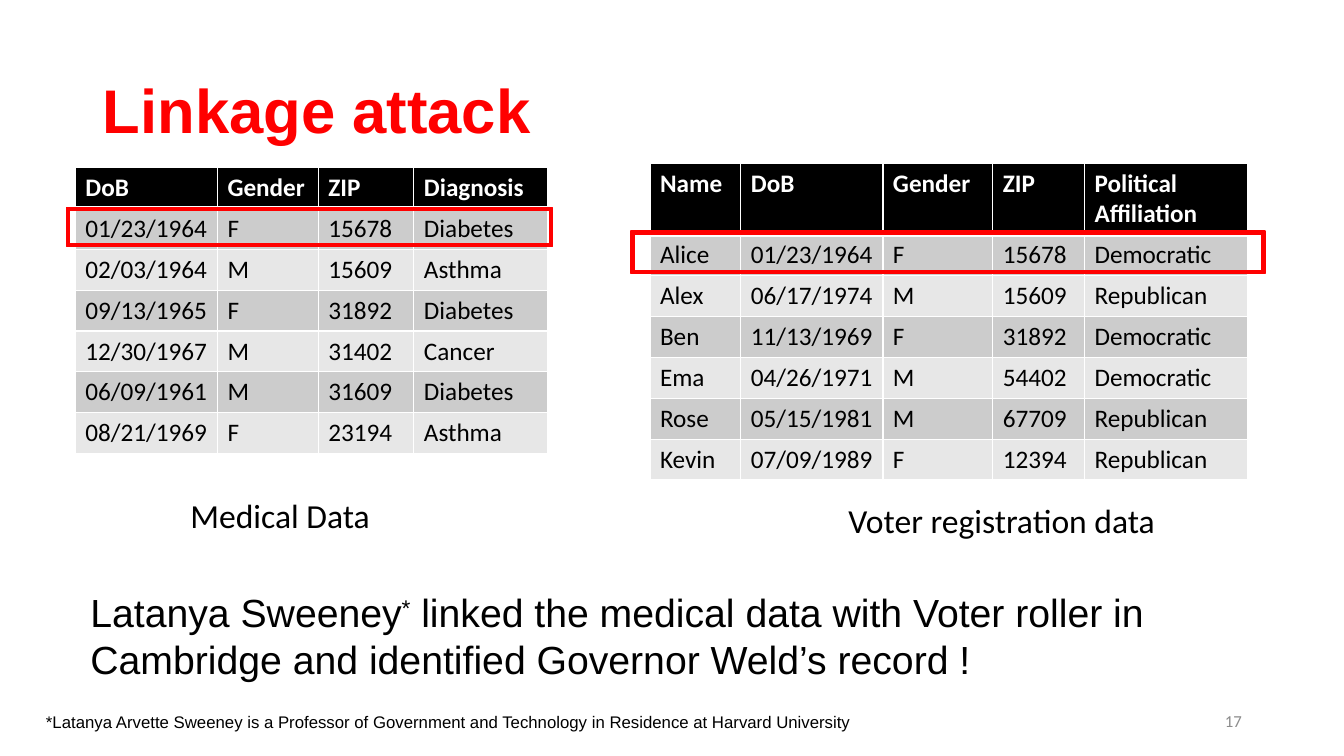
from pptx import Presentation
from pptx.dml.color import RGBColor
from pptx.enum.shapes import MSO_SHAPE
from pptx.enum.text import MSO_ANCHOR as Anchor, MSO_AUTO_SIZE as AutoSize, PP_ALIGN as Align
from pptx.oxml import parse_xml
from pptx.oxml.ns import nsdecls
from pptx.util import Cm, Pt

COLORS = {
    "red": "FF0000", "black": "000000", "white": "FFFFFF",
    "dark_band": "CCCCCC", "light_band": "E7E7E7", "gray": "8C8C8C",
}


def format_font(font, color, **values):
    for name, value in values.items():
        setattr(font, name, value)
    font.color.rgb = RGBColor.from_string(COLORS[color])


def add_text(position, text, name, size, color="black", wrap=True):
    frame = slide.shapes.add_textbox(*map(Cm, position)).text_frame
    frame.word_wrap = wrap
    frame.auto_size = AutoSize.SHAPE_TO_FIT_TEXT
    paragraph = frame.paragraphs[0]
    paragraph.text = text
    format_font(paragraph.font, color, name=name, size=Pt(size))
    return frame


presentation = Presentation()
presentation.slide_width, presentation.slide_height = Cm(33.87), Cm(19.05)
slide = presentation.slides.add_slide(presentation.slide_layouts[5])

# Title
title = slide.shapes.title
title.left, title.top, title.width, title.height = map(Cm, (2.34, 1.02, 29.21, 3.68))
title.text_frame.text = "Linkage attack"
title.text_frame.vertical_anchor = Anchor.MIDDLE
paragraph = title.text_frame.paragraphs[0]
paragraph.alignment, paragraph.line_spacing = Align.LEFT, 0.9
format_font(paragraph.font, "red", name="Arial", size=Pt(44), bold=True)

# Tables: left, top, header height, column widths, rows
medical_rows = [
    ("DoB", "Gender", "ZIP", "Diagnosis"),
    ("01/23/1964", "F", "15678", "Diabetes"),
    ("02/03/1964", "M", "15609", "Asthma"),
    ("09/13/1965", "F", "31892", "Diabetes"),
    ("12/30/1967", "M", "31402", "Cancer"),
    ("06/09/1961", "M", "31609", "Diabetes"),
    ("08/21/1969", "F", "23194", "Asthma"),
]
voter_rows = [
    ("Name", "DoB", "Gender", "ZIP", "Political\nAffiliation"),
    ("Alice", "01/23/1964", "F", "15678", "Democratic"),
    ("Alex", "06/17/1974", "M", "15609", "Republican"),
    ("Ben", "11/13/1969", "F", "31892", "Democratic"),
    ("Ema", "04/26/1971", "M", "54402", "Democratic"),
    ("Rose", "05/15/1981", "M", "67709", "Republican"),
    ("Kevin", "07/09/1989", "F", "12394", "Republican"),
]
tables = [
    (1.9, 4.22, 1.03, (3.58, 2.54, 2.41, 3.38), medical_rows),
    (16.38, 4.11, 1.74, (2.29, 3.58, 2.77, 2.31, 4.11), voter_rows),
]
ROW_HEIGHT = 1.03
for left, top, header_height, widths, rows in tables:
    height = header_height + ROW_HEIGHT * (len(rows) - 1)
    table = slide.shapes.add_table(
        len(rows), len(widths), Cm(left), Cm(top), Cm(sum(widths)), Cm(height)).table
    for column, width in zip(table.columns, widths):
        column.width = Cm(width)
    for row_index, values in enumerate(rows):
        is_header = row_index == 0
        table.rows[row_index].height = Cm(header_height if is_header else ROW_HEIGHT)
        fill = "black" if is_header else ("light_band", "dark_band")[row_index % 2]
        for column_index, value in enumerate(values):
            cell = table.cell(row_index, column_index)
            cell.text = value
            for paragraph in cell.text_frame.paragraphs:
                format_font(paragraph.font, "white" if is_header else "black",
                            name="Calibri", size=Pt(18), bold=is_header)
            # White cell borders, heavier below the header
            for side in "LRTB":
                line_width = Pt(3 if is_header and side == "B" else 1)
                cell._tc.get_or_add_tcPr().append(parse_xml(
                    f'<a:ln{side} {nsdecls("a")} w="{line_width}"><a:solidFill>'
                    f'<a:srgbClr val="{COLORS["white"]}"/></a:solidFill></a:ln{side}>'))
            cell.fill.solid()
            cell.fill.fore_color.rgb = RGBColor.from_string(COLORS[fill])

# Table captions
add_text((4.55, 12.34, 5.08, 1.27), "Medical Data", "Calibri", 24, wrap=False)
add_text((21.13, 12.47, 8.33, 1.27), "Voter registration data", "Calibri", 24, wrap=False)

# Frames around the linked records
for position in ((1.68, 5.23, 12.24, 0.99), (15.9, 5.82, 15.98, 1.07)):
    shape = slide.shapes.add_shape(MSO_SHAPE.FRAME, *map(Cm, position))
    shape.adjustments[0] = 0.07
    shape.shadow.inherit = False
    shape.fill.solid()
    shape.fill.fore_color.rgb = RGBColor.from_string(COLORS["red"])
    shape.line.color.rgb = RGBColor.from_string(COLORS["red"])
    shape.line.width = Pt(1)

# Conclusion with a superscript asterisk
conclusion = add_text((2.03, 14.71, 29.24, 2.64), "Latanya Sweeney", "Arial", 28).paragraphs[0]
asterisk = conclusion.add_run()
asterisk.text = "*"
asterisk._r.get_or_add_rPr().set("baseline", "30000")
conclusion.add_run().text = (" linked the medical data with Voter roller in Cambridge"
                             " and identified Governor Weld’s record !")

# Footnote and slide number
add_text((0.91, 17.81, 20.93, 0.76),
         "*Latanya Arvette Sweeney is a Professor of Government and Technology"
         " in Residence at Harvard University", "Arial", 12)
number = add_text((23.93, 17.65, 7.62, 1.02), "17", "Calibri", 12, "gray")
number.auto_size = AutoSize.NONE
number.vertical_anchor = Anchor.MIDDLE
number.paragraphs[0].alignment = Align.RIGHT

presentation.save("out.pptx")
